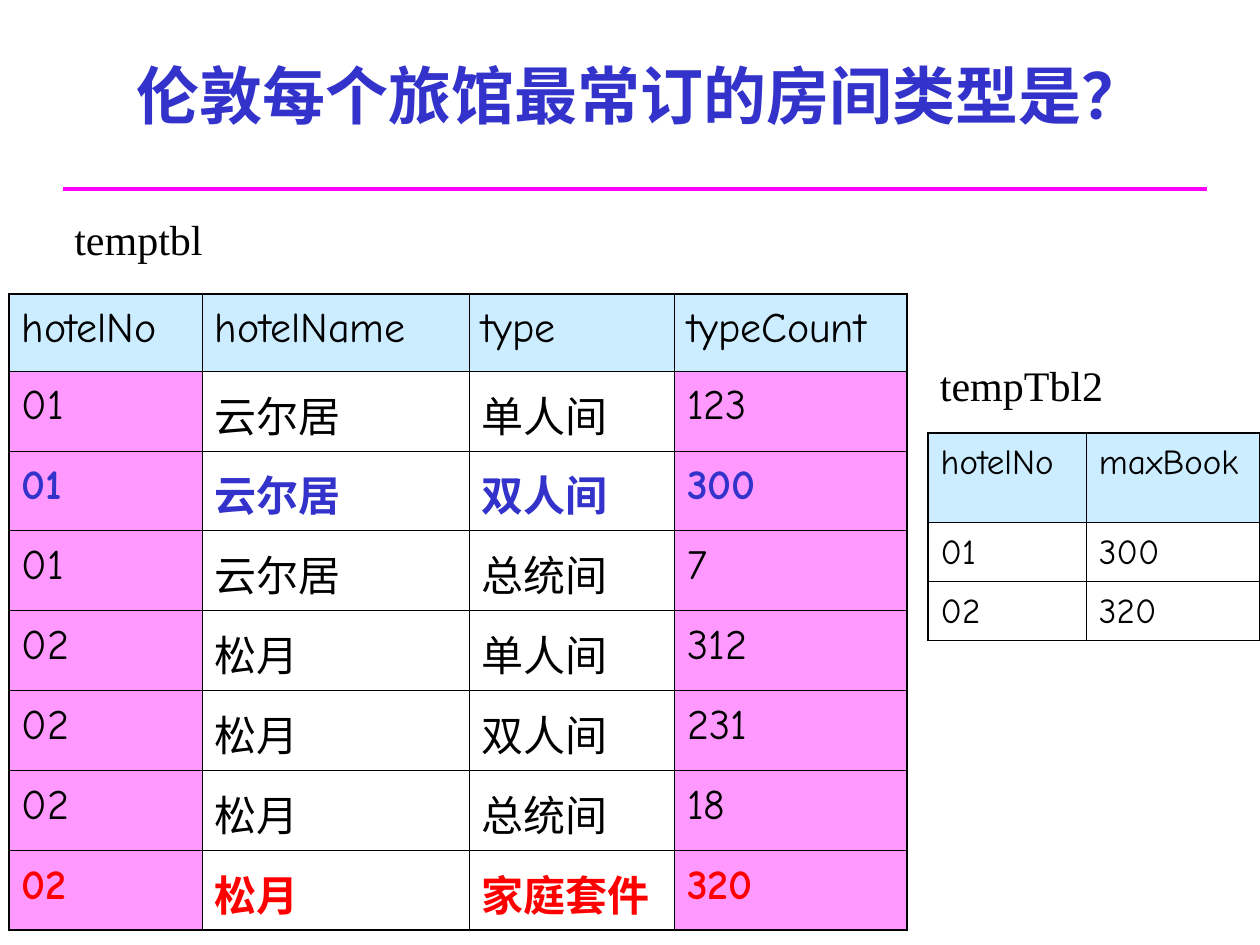
from lxml import etree
from pptx import Presentation
from pptx.dml.color import RGBColor
from pptx.enum.shapes import MSO_CONNECTOR
from pptx.enum.text import MSO_ANCHOR, PP_ALIGN
from pptx.oxml.ns import qn
from pptx.util import Cm, Pt

STRAIGHT = MSO_CONNECTOR.STRAIGHT
MIDDLE, TOP = MSO_ANCHOR.MIDDLE, MSO_ANCHOR.TOP
CENTER, LEFT = PP_ALIGN.CENTER, PP_ALIGN.LEFT

BLACK, BLUE, RED = "000000", "3333CC", "FF0000"
HEADER, PINK, MAGENTA = "CCECFF", "FF99FF", "FF00FF"
OUTER, INNER = 1.08, 0.45

BOOKINGS = [
    ["hotelNo", "hotelName", "type", "typeCount"],
    ["01", "云尔居", "单人间", "123"],
    ["01", "云尔居", "双人间", "300"],
    ["01", "云尔居", "总统间", "7"],
    ["02", "松月", "单人间", "312"],
    ["02", "松月", "双人间", "231"],
    ["02", "松月", "总统间", "18"],
    ["02", "松月", "家庭套件", "320"],
]
MAX_BOOKINGS = [["hotelNo", "maxBook"], ["01", "300"], ["02", "320"]]


def rgb(value):
    return RGBColor.from_string(value)


def write(tf, text, size=24, font="Comic Neue", color=BLACK, bold=False,
          align=LEFT, spacing=None):
    p = tf.paragraphs[0]
    p.alignment = align
    p.line_spacing = spacing
    r = p.add_run()
    r.text = text
    r.font.size, r.font.name, r.font.bold = Pt(size), font, bold
    r.font.color.rgb = rgb(color)


def set_borders(cell, **widths):
    """Draw black cell borders; keys are L, R, T, B in that order."""
    tcPr = cell._tc.get_or_add_tcPr()
    for side, width in widths.items():
        ln = etree.SubElement(tcPr, qn(f"a:ln{side}"), w=str(Pt(width)))
        fill = etree.SubElement(ln, qn("a:solidFill"))
        etree.SubElement(fill, qn("a:srgbClr"), val=BLACK)


class SlideBuilder:
    """Holds the current slide and the style shared by its elements."""

    label_font = "Times New Roman"
    line_spacing = 1.1

    def __init__(self, prs):
        self.slide = prs.slides.add_slide(prs.slide_layouts[6])

    def text(self, text, x, y, w, h, anchor=TOP, **fmt):
        sp = self.slide.shapes.add_textbox(Cm(x), Cm(y), Cm(w), Cm(h))
        tf = sp.text_frame
        tf.word_wrap = True
        tf.vertical_anchor = anchor
        write(tf, text, **fmt)

    def label(self, text, x, y, w):
        self.text(text, x, y, w, 1.27, font=self.label_font)

    def rule(self, x1, x2, y, color, width):
        line = self.slide.shapes.add_connector(STRAIGHT, Cm(x1), Cm(y), Cm(x2), Cm(y))
        line.line.color.rgb = rgb(color)
        line.line.width = Pt(width)
        etree.SubElement(line._element.spPr, qn("a:effectLst"))

    def table(self, rows, x, y, widths, heights, size, pink_cols=(), marked=None):
        """Add a table; marked maps a row index to its bold text colour."""
        marked = marked or {}
        last_row, last_col = len(rows) - 1, len(widths) - 1
        frame = self.slide.shapes.add_table(
            len(rows), len(widths), Cm(x), Cm(y), Cm(sum(widths)), Cm(sum(heights)))
        table = frame.table
        table.first_row = table.horz_banding = False
        for col, width in zip(table.columns, widths):
            col.width = Cm(width)
        for row, height in zip(table.rows, heights):
            row.height = Cm(height)
        for i, values in enumerate(rows):
            for j, value in enumerate(values):
                cell = table.cell(i, j)
                set_borders(cell,
                            L=OUTER if j == 0 else INNER,
                            R=OUTER if j == last_col else INNER,
                            T=OUTER if i == 0 else INNER,
                            B=OUTER if i == last_row else INNER)
                if i == 0 or j in pink_cols:
                    cell.fill.solid()
                    cell.fill.fore_color.rgb = rgb(PINK if i else HEADER)
                else:
                    cell.fill.background()
                write(cell.text_frame, value, size=size, color=marked.get(i, BLACK),
                      bold=i in marked, spacing=self.line_spacing)


def main():
    prs = Presentation()
    prs.slide_width, prs.slide_height = Cm(25.4), Cm(19.05)
    s = SlideBuilder(prs)
    s.rule(1.27, 24.34, 3.81, MAGENTA, 2)
    s.text("伦敦每个旅馆最常订的房间类型是？", 2.12, 0.64, 21.59, 2.54,
           anchor=MIDDLE, size=36, color=BLUE, bold=True, align=CENTER)
    s.table(BOOKINGS, 0.18, 5.92, [3.9, 5.38, 4.14, 4.69], [1.56] + [1.61] * 7,
            size=24, pink_cols=(0, 3), marked={2: BLUE, 7: RED})
    s.label("temptbl", 1.25, 4.18, 3.3)
    s.table(MAX_BOOKINGS, 18.71, 8.73, [3.19, 3.5], [1.8, 1.19, 1.19], size=20)
    s.label("tempTbl2", 18.7, 7.12, 4.1)
    prs.save("out.pptx")


if __name__ == "__main__":
    main()
